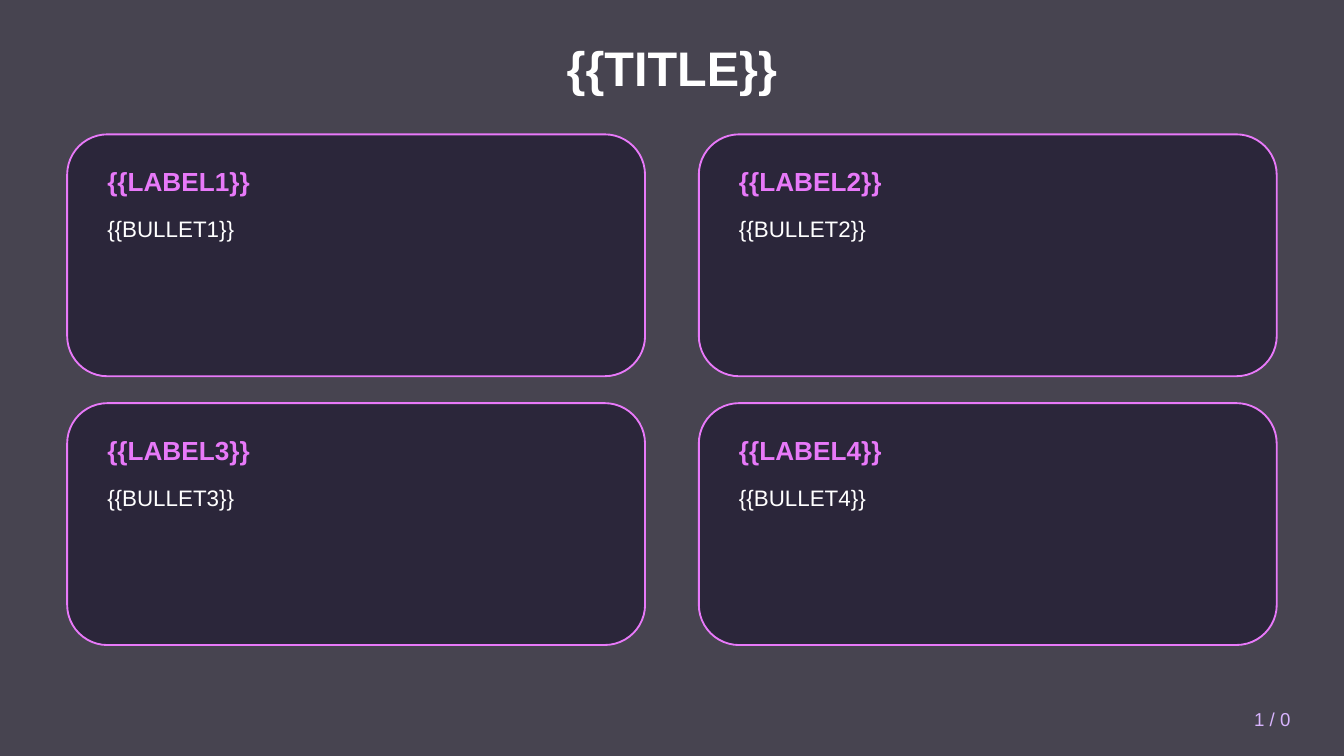
from dataclasses import dataclass

from lxml.etree import SubElement
from pptx import Presentation
from pptx.dml.color import RGBColor
from pptx.enum.shapes import MSO_SHAPE as Geom
from pptx.enum.text import MSO_ANCHOR as Anchor, MSO_AUTO_SIZE as Fit, PP_ALIGN as Align
from pptx.oxml.ns import qn
from pptx.util import Inches, Pt

WIDE = 10
HIGH = WIDE * 9 / 16
COLORS = {
    "veil": "1A1625",
    "card": "251F35",
    "pink": "E879F9",
    "white": "FFFFFF",
    "lilac": "D8B4FE",
}
FORMATS = {
    "title": {"size": Pt(26), "bold": True},
    "label": {"size": Pt(14), "bold": True},
    "bullet": {"size": Pt(12), "bold": False},
    "page": {"size": Pt(10), "bold": False},
}


@dataclass
class Box:
    x: float
    y: float
    w: float
    h: float

    def lengths(self) -> list:
        return [Inches(v) for v in (self.x, self.y, self.w, self.h)]


@dataclass
class Card:
    label: str
    bullet: str
    box: Box


def tint(name: str) -> RGBColor:
    return RGBColor.from_string(COLORS[name])


def write(shape, text: str, style: str, color: str,
          align=Align.LEFT, anchor=Anchor.MIDDLE) -> None:
    frame = shape.text_frame
    frame.word_wrap = True
    frame.auto_size = Fit.NONE
    frame.vertical_anchor = anchor
    para = frame.paragraphs[0]
    para.alignment = align
    run = para.add_run()
    run.text = text
    run.font.name = "Arial"
    run.font.color.rgb = tint(color)
    for key, value in FORMATS[style].items():
        setattr(run.font, key, value)


def panel(slide, geom, box: Box, fill: str, line: str = ""):
    shape = slide.shapes.add_shape(geom, *box.lengths())
    shape.shadow.inherit = False
    shape.fill.solid()
    shape.fill.fore_color.rgb = tint(fill)
    # Fill at 80% opacity
    hue = shape._element.spPr.find(f"{qn('a:solidFill')}/{qn('a:srgbClr')}")
    SubElement(hue, qn("a:alpha"), val="80000")
    if line:
        shape.line.color.rgb = tint(line)
        shape.line.width = Pt(1)
    else:
        shape.line.fill.background()
    return shape


def draw(slide, card: Card) -> None:
    box = card.box
    panel(slide, Geom.ROUNDED_RECTANGLE, box, "card", "pink")
    left, wide = box.x + 0.2, box.w - 0.4
    label = slide.shapes.add_textbox(*Box(left, box.y + 0.15, wide, 0.4).lengths())
    write(label, card.label, "label", "pink")
    bullet = slide.shapes.add_textbox(*Box(left, box.y + 0.55, wide, 1).lengths())
    write(bullet, card.bullet, "bullet", "white", anchor=Anchor.TOP)


def main() -> None:
    deck = Presentation()
    deck.slide_width, deck.slide_height = Inches(WIDE), Inches(HIGH)
    slide = deck.slides.add_slide(deck.slide_layouts[5])
    slide.background.fill.solid()
    slide.background.fill.fore_color.rgb = tint("white")

    # Veil over the whole slide, placed behind the title
    veil = panel(slide, Geom.RECTANGLE, Box(0, 0, WIDE, HIGH), "veil")
    title = slide.shapes.title
    title._element.addprevious(veil._element)

    # Title
    title.left, title.top, title.width, title.height = Box(0.5, 0.2, 9, 0.6).lengths()
    write(title, "{{TITLE}}", "title", "white", Align.CENTER)

    # Two by two cards
    for i in range(4):
        row, col = divmod(i, 2)
        box = Box(0.5 + 4.7 * col, 1 + 2 * row, 4.3, 1.8)
        draw(slide, Card(f"{{{{LABEL{i + 1}}}}}", f"{{{{BULLET{i + 1}}}}}", box))

    # Page number
    page = slide.shapes.add_textbox(*Box(8.5, 5.2, 1.2, 0.3).lengths())
    write(page, "1 / 0", "page", "lilac", Align.RIGHT)

    deck.save("out.pptx")


if __name__ == "__main__":
    main()
